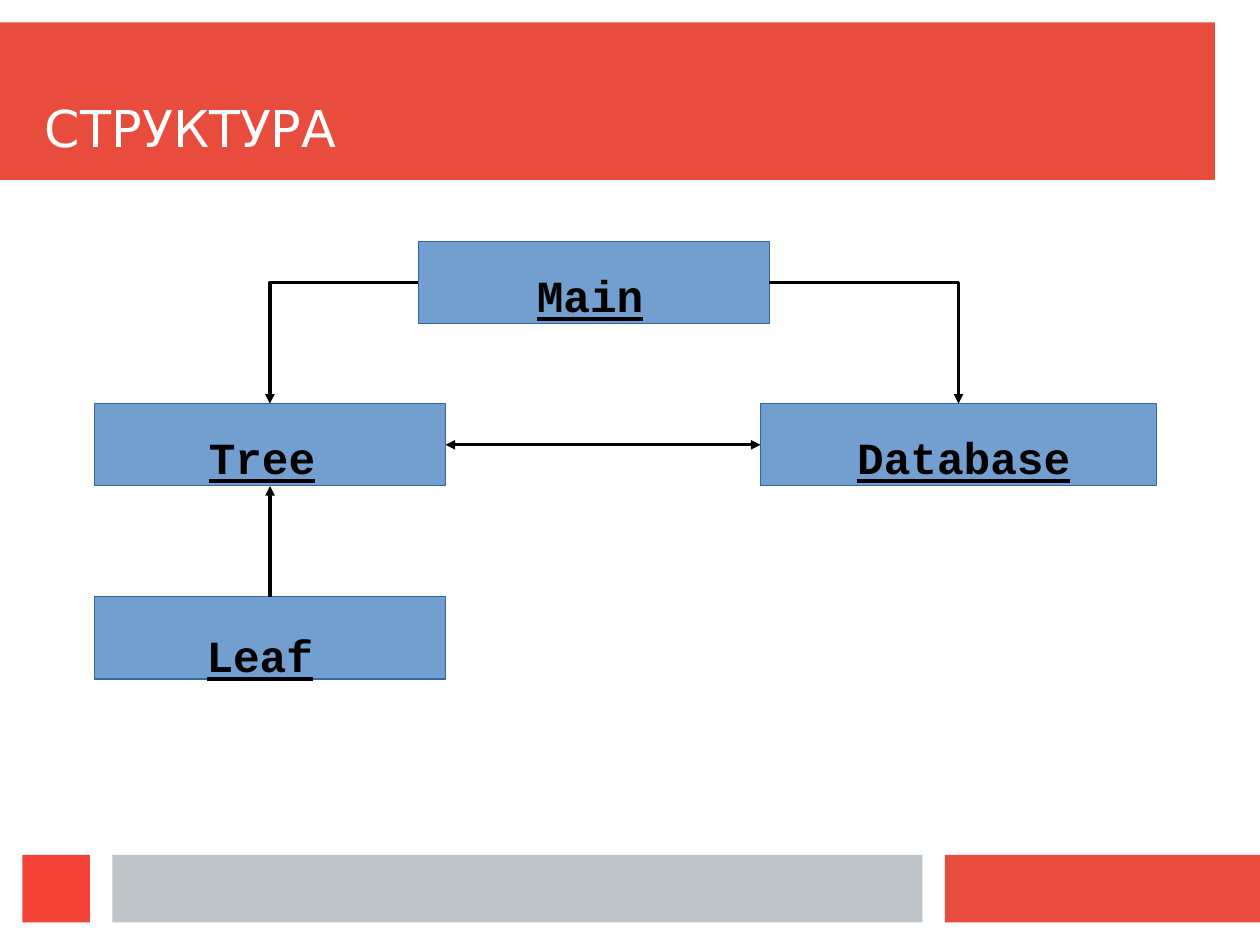
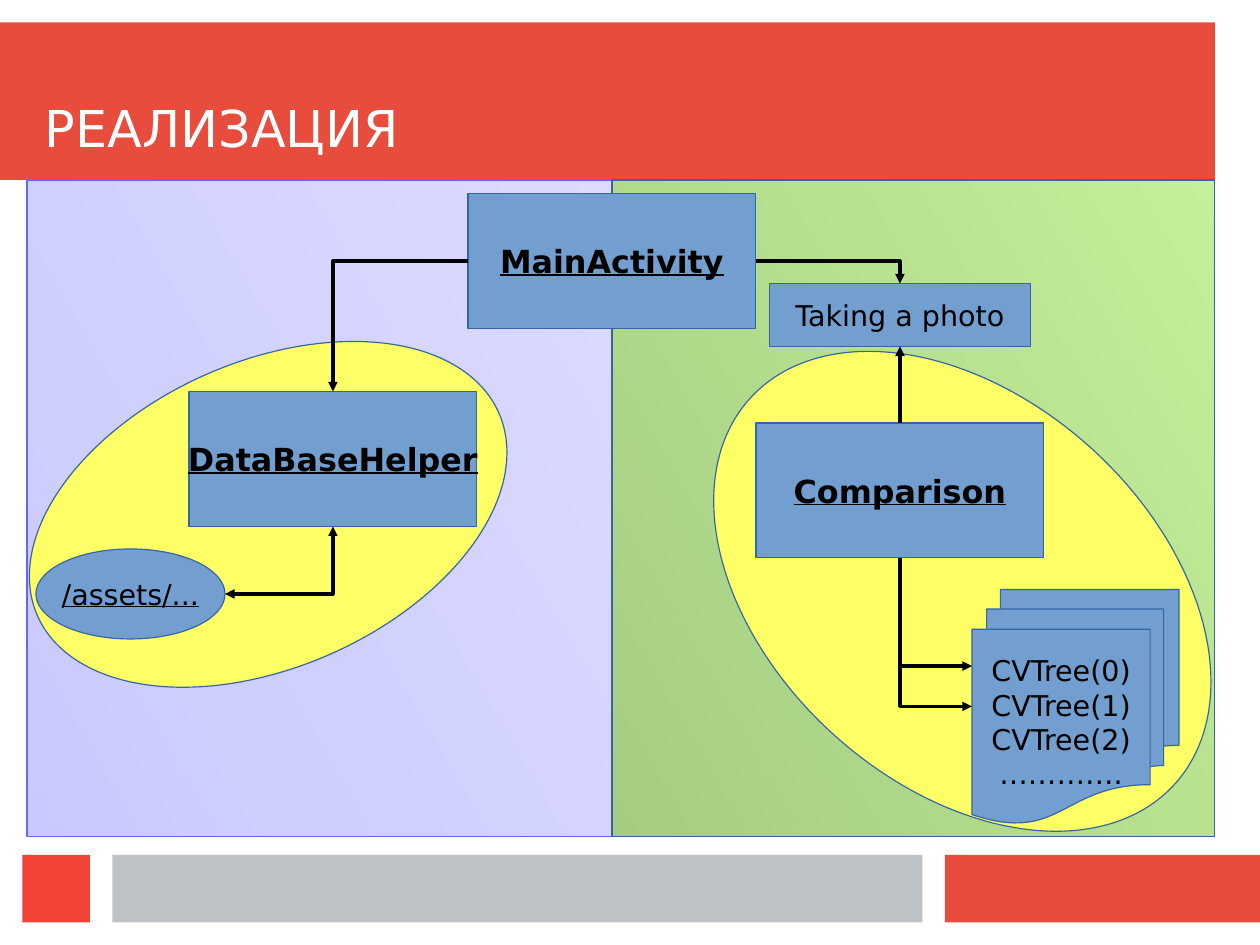
from dataclasses import dataclass

from lxml import etree
from pptx import Presentation
from pptx.dml.color import RGBColor
from pptx.enum.shapes import MSO_CONNECTOR, MSO_SHAPE
from pptx.enum.text import MSO_ANCHOR, MSO_AUTO_SIZE, PP_ALIGN
from pptx.oxml.ns import qn
from pptx.util import Cm, Pt

RECT, OVAL = MSO_SHAPE.RECTANGLE, MSO_SHAPE.OVAL
DOCUMENTS = MSO_SHAPE.FLOWCHART_MULTIDOCUMENT
STRAIGHT, ELBOW = MSO_CONNECTOR.STRAIGHT, MSO_CONNECTOR.ELBOW
TOP, MIDDLE, BOTTOM = MSO_ANCHOR.TOP, MSO_ANCHOR.MIDDLE, MSO_ANCHOR.BOTTOM
LEFT, CENTER = PP_ALIGN.LEFT, PP_ALIGN.CENTER
NO_FIT = MSO_AUTO_SIZE.NONE
SIDE_TOP, SIDE_LEFT, SIDE_BOTTOM, SIDE_RIGHT = range(4)
TITLE_ONLY = 5


@dataclass(frozen=True)
class Theme:
    red: str = "E74C3C"
    bright_red: str = "F44336"
    gray: str = "BDC3C7"
    blue: str = "729FCF"
    outline: str = "3465A4"
    violet: str = "6666FF"
    light_violet: str = "9999FF"
    green: str = "4E9A06"
    light_green: str = "8AE234"
    yellow: str = "FFFF66"
    black: str = "000000"
    white: str = "FFFFFF"
    font: str = "DejaVu Sans"
    mono: str = "Courier New"
    title_size: int = 32
    label_size: int = 28
    class_size: int = 20
    node_size: int = 18


T = Theme()


def rgb(color):
    return RGBColor.from_string(color)


def set_text(sp, text, size, color=T.black, font=T.font, bold=False,
             underline=False, align=CENTER, anchor=MIDDLE, wrap=False):
    tf = sp.text_frame
    tf.text = text
    tf.word_wrap = wrap
    tf.auto_size = NO_FIT
    tf.vertical_anchor = anchor
    for p in tf.paragraphs:
        p.alignment = align
        p.font.name = font
        p.font.size = Pt(size)
        p.font.bold = bold
        p.font.underline = underline
        p.font.color.rgb = rgb(color)


def add_box(slide, box, fill=T.blue, line=T.outline, kind=RECT, rotation=0):
    """Add a preset shape; box is left, top, width, height in cm."""
    sp = slide.shapes.add_shape(kind, *map(Cm, box))
    sp.shadow.inherit = False
    sp.rotation = rotation
    sp.fill.solid()
    sp.fill.fore_color.rgb = rgb(fill)
    if line:
        sp.line.color.rgb = rgb(line)
        sp.line.width = Pt(0)
    else:
        sp.line.fill.background()
    return sp


def add_class(slide, left, top, name):
    sp = add_box(slide, (left, top, 6.4, 3))
    set_text(sp, name, T.class_size, bold=True, underline=True)
    return sp


def add_node(slide, box, text, kind=RECT, underline=False):
    sp = add_box(slide, box, kind=kind)
    set_text(sp, text, T.node_size, underline=underline)
    return sp


def add_label(slide, left, top, text):
    width = 0.59 * len(text) + 0.51
    sp = slide.shapes.add_textbox(Cm(left), Cm(top), Cm(width), Cm(1.37))
    set_text(sp, text, T.label_size, font=T.mono, bold=True, underline=True,
             align=LEFT, anchor=TOP)
    sp.text_frame.margin_top = Cm(0.36)


def add_panel(slide, box, colors, line, opacity):
    """Add a see-through panel shaded from its top right corner."""
    sp = add_box(slide, box, line=line)
    sp.fill.gradient()
    sp.fill.gradient_angle = 210
    for stop, color in zip(sp.fill.gradient_stops, colors):
        stop.color.rgb = rgb(color)
    for color in sp.element.spPr.iter(qn("a:srgbClr")):
        if color.getparent().tag == qn("a:gs"):
            etree.SubElement(color, qn("a:alpha"), val=str(opacity * 1000))


def add_arrow(slide, start, end, kind=STRAIGHT, heads=("tailEnd",)):
    """Join two ends, each an (x, y) in cm or a (shape, side).

    An elbow leaves its start sideways and reaches its end vertically.
    """
    cx = slide.shapes.add_connector(kind, 0, 0, 0, 0)
    if isinstance(start[0], (int, float)):
        cx.begin_x, cx.begin_y = map(Cm, start)
    else:
        cx.begin_connect(*start)
    if isinstance(end[0], (int, float)):
        cx.end_x, cx.end_y = map(Cm, end)
    else:
        cx.end_connect(*end)
    cx.line.color.rgb = rgb(T.black)
    cx.line.width = Pt(0)
    sp_pr = cx.element.spPr
    if kind == ELBOW:
        sp_pr.find(qn("a:prstGeom")).set("prst", "bentConnector2")
    for head in heads:
        etree.SubElement(sp_pr.find(qn("a:ln")), qn("a:" + head), type="triangle")
    etree.SubElement(sp_pr, qn("a:effectLst"))


def add_titled_slide(prs, title):
    slide = prs.slides.add_slide(prs.slide_layouts[TITLE_ONLY])
    sp = slide.shapes.title
    sp.left, sp.top, sp.width, sp.height = map(Cm, (1, 1, 26, 2.5))
    set_text(sp, title, T.title_size, color=T.white, align=LEFT,
             anchor=BOTTOM, wrap=True)
    tf = sp.text_frame
    tf.margin_left = tf.margin_top = tf.margin_right = tf.margin_bottom = 0
    return slide


def move_bands_to_layout(slide):
    """Draw the bands and hand them to the layout, so all slides share them."""
    layout = slide.slide_layout
    tree = layout.shapes.element
    for ph in list(layout.placeholders)[1:]:
        tree.remove(ph.element)
    for box, color in (
        ((0, 0.5, 27, 3.5), T.red),
        ((21, 19, 7, 1.5), T.red),
        ((2.5, 19, 18, 1.5), T.gray),
        ((0.5, 19, 1.5, 1.5), T.bright_red),
    ):
        tree.append(add_box(slide, box, color, line=None).element)


def build_structure(prs):
    slide = add_titled_slide(prs, "СТРУКТУРА")
    move_bands_to_layout(slide)
    database = add_box(slide, (16.9, 8.97, 8.8, 1.83))
    tree, leaf, main_box = (
        add_box(slide, (left, top, 7.8, 1.83))
        for left, top in ((2.1, 8.97), (2.1, 13.26), (9.3, 5.36))
    )
    for left, top, text in (
        (11.68, 5.59, "Main"),
        (4.39, 9.19, "Tree"),
        (18.8, 9.19, "Database"),
        (4.34, 13.59, "Leaf"),
    ):
        add_label(slide, left, top, text)
    add_arrow(slide, (tree, SIDE_RIGHT), (database, SIDE_LEFT),
              heads=("headEnd", "tailEnd"))
    add_arrow(slide, (main_box, SIDE_LEFT), (tree, SIDE_TOP), ELBOW)
    add_arrow(slide, (leaf, SIDE_TOP), (tree, SIDE_BOTTOM))
    add_arrow(slide, (main_box, SIDE_RIGHT), (database, SIDE_TOP), ELBOW)


def build_implementation(prs):
    slide = add_titled_slide(prs, "РЕАЛИЗАЦИЯ")
    add_panel(slide, (0.6, 4, 13, 14.6), (T.light_violet, T.violet), T.violet, 34)
    add_panel(slide, (13.6, 4, 13.4, 14.6), (T.light_green, T.green), T.outline, 50)
    add_box(slide, (0.36, 8.03, 11.2, 6.8), T.yellow, kind=OVAL, rotation=336.3)
    add_box(slide, (15.01, 8.86, 12.75, 8.56), T.yellow, kind=OVAL, rotation=222.3)

    helper = add_class(slide, 4.2, 8.7, "DataBaseHelper")
    comparison = add_class(slide, 16.8, 9.4, "Comparison")
    activity = add_class(slide, 10.4, 4.3, "MainActivity")
    add_node(slide, (0.8, 12.2, 4.2, 2), "/assets/...", OVAL, underline=True)
    photo = add_node(slide, (17.1, 6.3, 5.8, 1.4), "Taking a photo")
    trees = add_node(slide, (21.6, 13.1, 4.6, 5.2),
                     "CVTree(0)\nCVTree(1)\nCVTree(2)\n………….", DOCUMENTS)

    add_arrow(slide, (activity, SIDE_LEFT), (helper, SIDE_TOP), ELBOW)
    add_arrow(slide, (5, 13.2), (helper, SIDE_BOTTOM), ELBOW,
              heads=("headEnd", "tailEnd"))
    add_arrow(slide, (trees, SIDE_LEFT), (comparison, SIDE_BOTTOM), ELBOW,
              heads=("headEnd",))
    add_arrow(slide, (20, 14.8), (21.6, 14.8))
    add_arrow(slide, (activity, SIDE_RIGHT), (photo, SIDE_TOP), ELBOW)
    add_arrow(slide, (comparison, SIDE_TOP), (photo, SIDE_BOTTOM))


def main():
    prs = Presentation()
    prs.slide_width, prs.slide_height = Cm(28), Cm(21)
    build_structure(prs)
    build_implementation(prs)
    prs.save("out.pptx")


if __name__ == "__main__":
    main()
